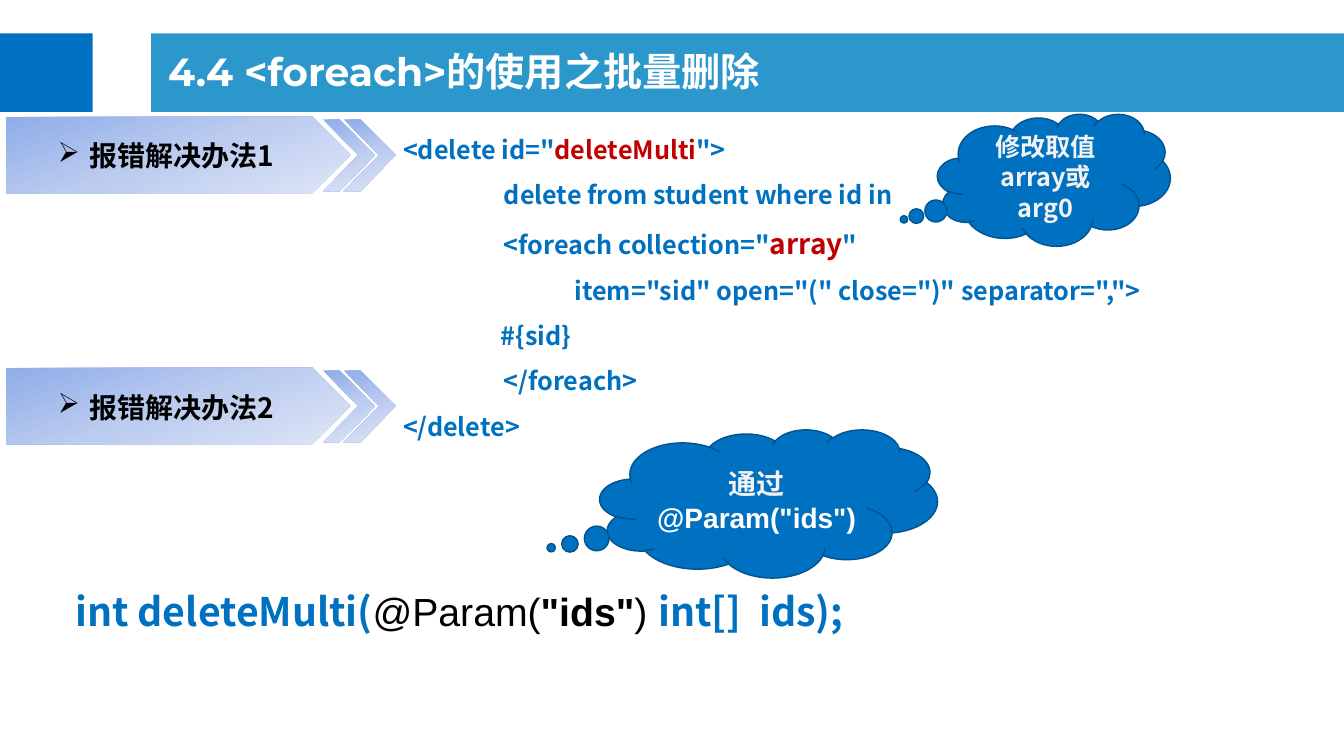
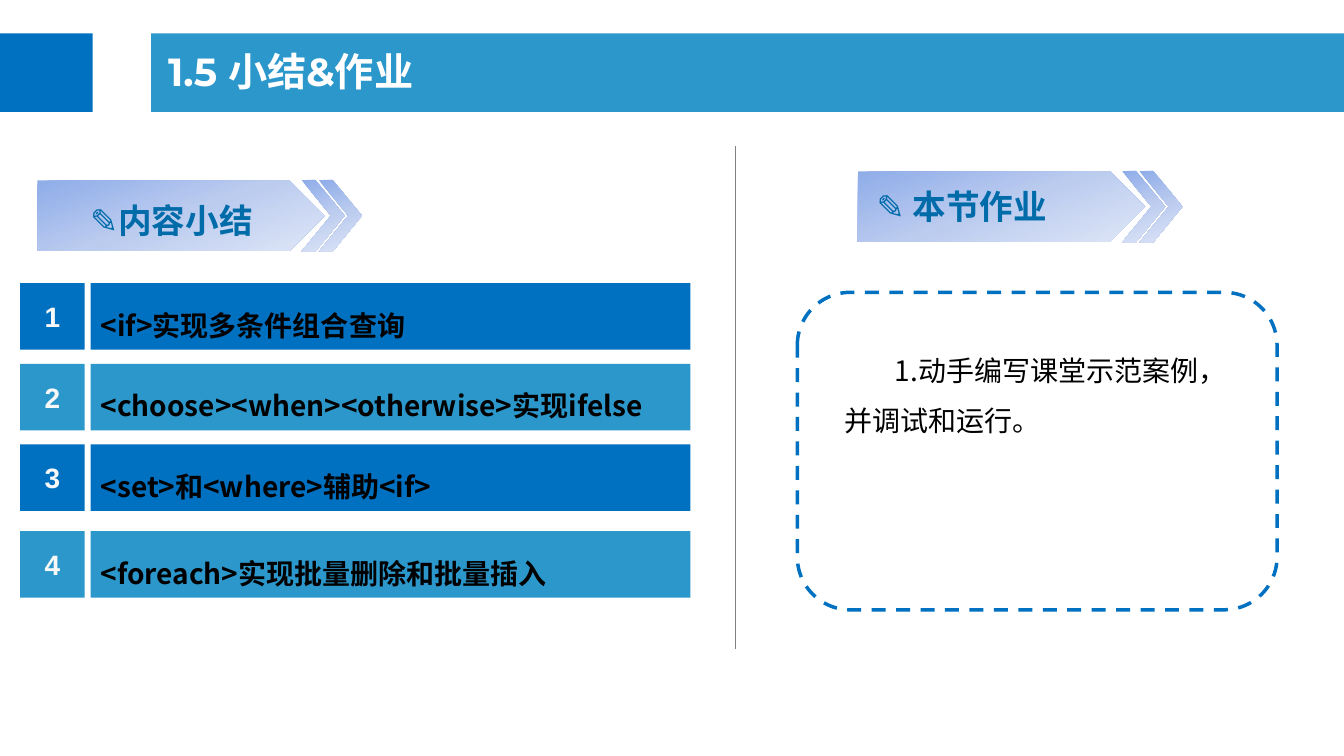
from copy import deepcopy
from dataclasses import dataclass, replace

from lxml.etree import SubElement
from pptx import Presentation
from pptx.dml.color import RGBColor
from pptx.enum.dml import MSO_LINE
from pptx.enum.shapes import MSO_CONNECTOR, MSO_SHAPE
from pptx.enum.text import MSO_ANCHOR, PP_ALIGN
from pptx.oxml.ns import qn
from pptx.util import Inches, Pt


@dataclass(frozen=True)
class Type:
    size: float
    color: str
    bold: bool = True
    face: str = "Noto Sans CJK SC"


class Theme:
    blue, sky, edge = "0070C0", "2C97CB", "00538E"
    rule = "808080"
    fade = ("8FADE9", "BCCCEF", "DEE6F7")
    han = "Noto Sans CJK SC"
    title = Type(28, "FFFFFF", face="Montserrat")
    point = Type(20, "000000")
    head = Type(24, "006BA9")
    code = Type(18, blue)
    name = replace(code, color="C00000")
    key = replace(name, size=20)
    call = Type(28, blue)
    param = Type(28, "000000", False, "Arial")
    value = replace(param, bold=True)
    cloud = Type(18, "F2F2F2")
    large = replace(cloud, size=20)
    note = Type(20, "FFFFFF", face="Arial")
    digit = Type(20, "F8F8F8", face="Arial")
    task = Type(20, "000000", False)


def cells(*spans):
    """Grid columns and rows, each a tenth of an inch."""
    return [Inches(span / 10) for span in spans]


def tint(hue):
    return RGBColor.from_string(hue)


class Deck:
    def __init__(self):
        self.file = Presentation()
        self.file.slide_width, self.file.slide_height = cells(133.33, 75)

    # Slide with its bands and title
    def page(self, title):
        self.slide = self.file.slides.add_slide(self.file.slide_layouts[6])
        self.shape(MSO_SHAPE.RECTANGLE, (15, 3.3, 118.33, 7.8), Theme.sky)
        self.shape(MSO_SHAPE.RECTANGLE, (0, 3.3, 9.2, 7.8), Theme.blue)
        box = self.text((15.7, 3.9, 115, 6.9), title, Theme.title, lead=0.9)
        box.text_frame.vertical_anchor = MSO_ANCHOR.MIDDLE

    def shape(self, kind, box, fill=None, line=None, width=1, adjust=()):
        item = self.slide.shapes.add_shape(kind, *cells(*box))
        item.shadow.inherit = False
        if fill:
            item.fill.solid()
            item.fill.fore_color.rgb = tint(fill)
        else:
            item.fill.background()
        if line:
            item.line.color.rgb = tint(line)
            item.line.width = Pt(width)
        else:
            item.line.fill.background()
        for index, share in enumerate(adjust):
            item.adjustments[index] = share
        item.text_frame.vertical_anchor = MSO_ANCHOR.MIDDLE
        return item

    def text(self, box, parts, style, wrap=True, **form):
        item = self.slide.shapes.add_textbox(*cells(*box))
        item.text_frame.word_wrap = wrap
        self.typeset(item.text_frame.paragraphs[0], parts, style, **form)
        return item

    def font(self, font, style):
        font.size, font.bold, font.name = Pt(style.size), style.bold, style.face
        font.color.rgb = tint(style.color)

    # Parts: one string, or pairs of string and style (None keeps the base)
    def typeset(self, para, parts, style, align=PP_ALIGN.LEFT, lead=None,
                left=0, first=0, bullet=None):
        para.alignment = align
        if lead:
            para.line_spacing = lead
        self.font(para.font, style)
        props = para._p.get_or_add_pPr()
        base = props.find(qn("a:defRPr"))
        SubElement(base, qn("a:ea"), typeface=Theme.han)
        margin, indent = cells(left, first)
        props.set("marL", str(margin))
        props.set("indent", str(indent))
        if bullet:
            mark = SubElement(props, qn("a:buChar"), char=bullet)
            base.addprevious(mark)
        for words, own in [(parts, None)] if isinstance(parts, str) else parts:
            run = para.add_run()
            run.text = words
            if own:
                self.font(run.font, own)

    def blend(self, item):
        item.fill.gradient()
        item.fill.gradient_angle = 290
        stops = item._element.spPr.find(".//" + qn("a:gsLst"))
        stops.insert(1, deepcopy(stops[0]))
        stops[1].set("pos", "50000")
        for stop, hue in zip(item.fill.gradient_stops, Theme.fade):
            stop.color.rgb = tint(hue)

    # Pentagon with two chevrons; mid and drop place the label in it
    def banner(self, box, label, style, mid, drop, wide, **form):
        x, y, w, h = box
        tall = 7.1
        self.blend(self.shape(MSO_SHAPE.PENTAGON, box, Theme.sky))
        for step in range(2):
            place = (x + w * (0.92 + 0.06 * step), y + (h - tall) / 2,
                     w * 0.15, tall)
            self.blend(self.shape(MSO_SHAPE.CHEVRON, place, Theme.sky,
                                  adjust=[0.68]))
        self.text((x + mid - wide / 2, y + drop, wide, 5), label, style,
                  align=PP_ALIGN.CENTER, **form)

    def cloud(self, box, parts, style):
        item = self.shape(MSO_SHAPE.CLOUD_CALLOUT, box, Theme.blue, Theme.edge,
                          adjust=(-0.644, 0.299))
        self.typeset(item.text_frame.paragraphs[0], parts, style,
                     align=PP_ALIGN.CENTER)

    def bar(self, box, words, fill, style, **form):
        item = self.shape(MSO_SHAPE.RECTANGLE, box, fill)
        self.typeset(item.text_frame.paragraphs[0], words, style, **form)

    def rule(self, *ends):
        line = self.slide.shapes.add_connector(MSO_CONNECTOR.STRAIGHT,
                                               *cells(*ends))
        line.line.color.rgb = tint(Theme.rule)
        line.line.width = Pt(0.5)
        SubElement(line._element.spPr, qn("a:effectLst"))


def delete(deck):
    deck.page("4.4 <foreach>的使用之批量删除")

    # Two ways to fix the error
    for number, top in enumerate((11.6, 36.5), 1):
        deck.banner((0.6, top, 34.2, 7.6), f"报错解决办法{number}", Theme.point,
                    mid=15.85, drop=1.7, wide=31.1,
                    left=3.1, first=-3.1, bullet="➢")

    # Mapper code: indent in columns, then the line
    code = [
        (0, [('<delete id="', None), ("deleteMulti", Theme.name), ('">', None)]),
        (10, "delete from student where id in"),
        (10, [('<foreach collection="', None), ("array", Theme.key),
              ('"', None)]),
        (17, 'item="sid" open="(" close=")" separator=",">'),
        (9.7, "#{sid}"),
        (10, "</foreach>"),
        (0, "</delete>"),
    ]
    box = deck.text((39, 11.3, 92.8, 33.3), code[0][1], Theme.code, lead=1.5)
    for left, parts in code[1:]:
        deck.typeset(box.text_frame.add_paragraph(), parts, Theme.code,
                     lead=1.5, left=left)

    # Hints and the method
    deck.cloud((93, 11.3, 23.1, 13.1), "修改取值array或 arg0", Theme.cloud)
    deck.text((6.5, 55.4, 97, 8.1),
              [("int deleteMulti(", None), ("@Param(", Theme.param),
               ('"ids"', Theme.value), (") ", Theme.param),
               ("int[]  ids);", None)], Theme.call, lead=1.5)
    deck.cloud((59.5, 42.6, 33.5, 14.7),
               [("通过 ", None), ('@Param("ids")', Theme.note)], Theme.large)


def review(deck):
    deck.page("1.5 小结&作业")

    # Numbered points
    points = [
        (28.1, "<if>实现多条件组合查询"),
        (36.1, "<choose><when><otherwise>实现ifelse"),
        (44.1, "<set>和<where>辅助<if>"),
        (52.7, "<foreach>实现批量删除和批量插入"),
    ]
    for index, (top, words) in enumerate(points):
        fill = (Theme.blue, Theme.sky)[index % 2]
        deck.bar((2, top, 6.4, 6.6), str(index + 1), fill, Theme.digit,
                 align=PP_ALIGN.CENTER)
        deck.bar((9, top, 59.5, 6.6), words, fill, Theme.point, lead=1.5)

    # Headings
    deck.banner((3.7, 17.9, 28.5, 7), "✎内容小结", Theme.head,
                mid=13.3, drop=1.4, wide=18.9, wrap=False)
    deck.banner((85.1, 17, 28.5, 7), "✎ 本节作业", Theme.head,
                mid=10.3, drop=1, wide=20.9, wrap=False)

    # Homework
    frame = deck.shape(MSO_SHAPE.ROUNDED_RECTANGLE, (79.1, 29, 47.6, 31.5),
                       line=Theme.blue, width=2.5, adjust=[0.167])
    frame.line.dash_style = MSO_LINE.DASH
    deck.text((82.8, 32.9, 40.5, 11.1), "1.动手编写课堂示范案例，并调试和运行。",
              Theme.task, lead=1.5, first=5)
    deck.rule(73, 14.5, 73, 64.4)


def main():
    deck = Deck()
    delete(deck)
    review(deck)
    deck.file.save("out.pptx")


if __name__ == "__main__":
    main()
